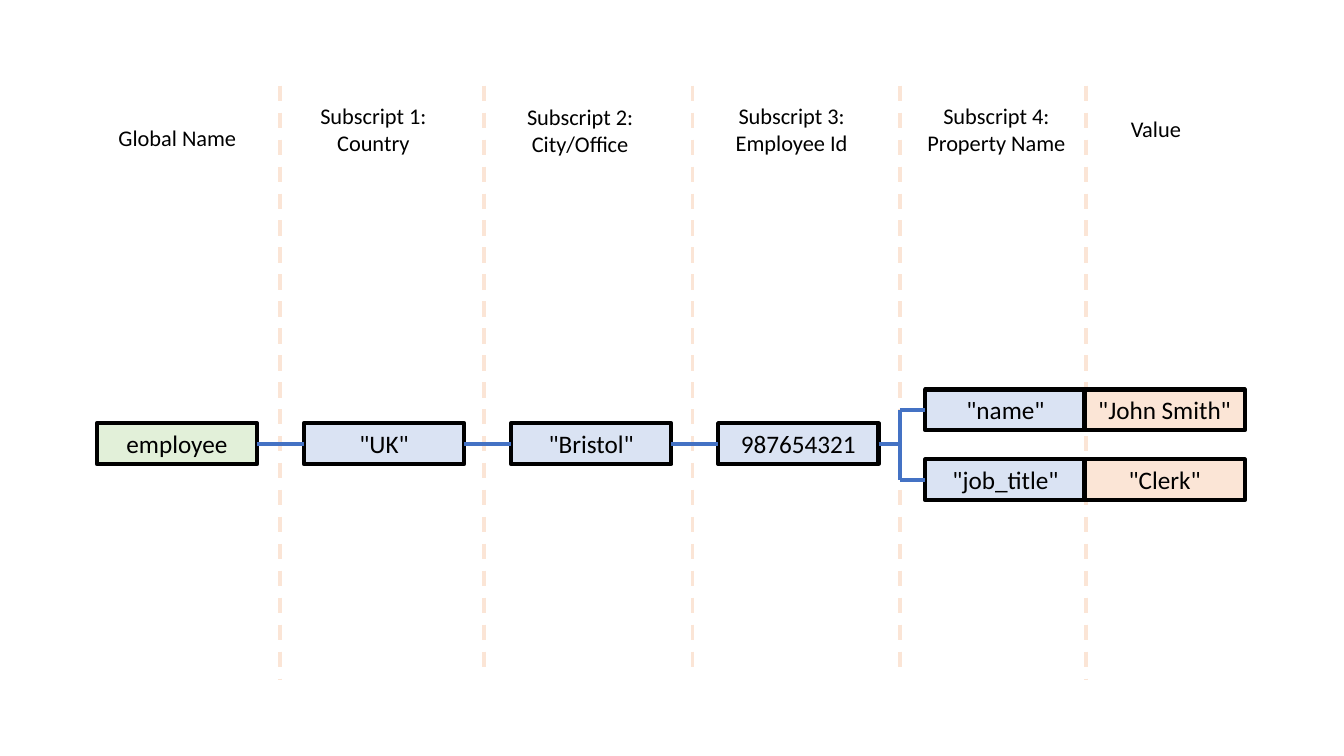
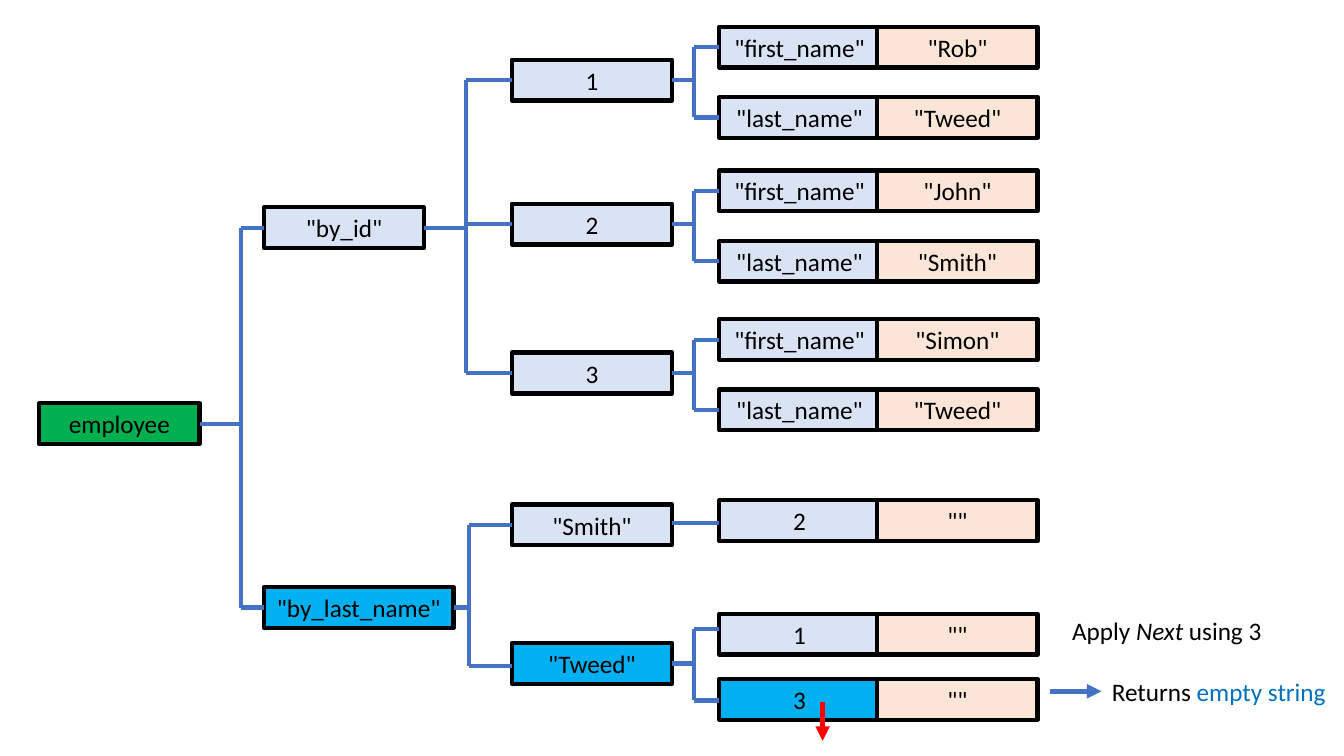
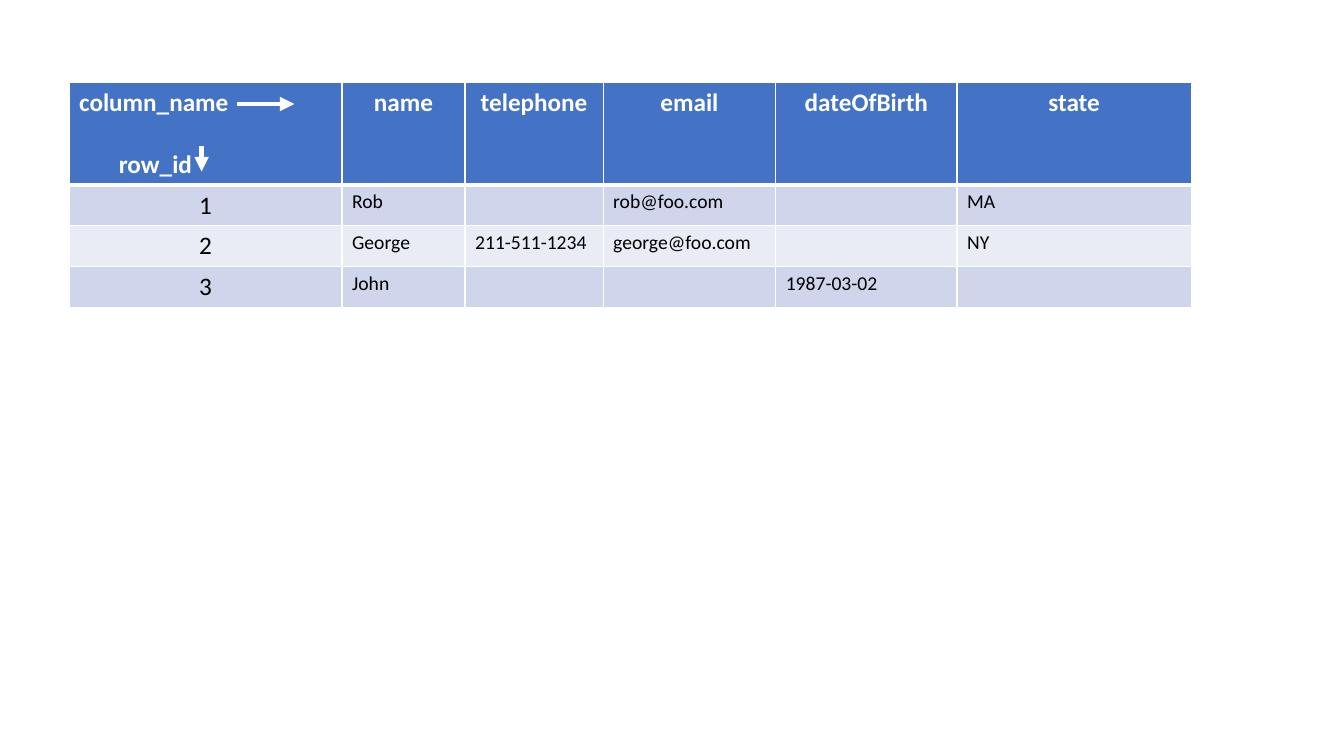
from dataclasses import dataclass

from lxml.etree import SubElement
from pptx import Presentation
from pptx.dml.color import RGBColor as Rgb
from pptx.enum.dml import MSO_LINE as Dash
from pptx.enum.shapes import MSO_CONNECTOR as Conn, MSO_SHAPE as Shape
from pptx.enum.text import MSO_ANCHOR as Anchor, PP_ALIGN as Align
from pptx.oxml import parse_xml
from pptx.oxml.ns import nsdecls, qn
from pptx.util import Cm, Pt


@dataclass(frozen=True)
class Theme:
    font: str = "Calibri"
    body: int = 18
    label: int = 16
    small: int = 14
    ink: str = "000000"
    white: str = "FFFFFF"
    blue: str = "4472C4"
    key: str = "DAE3F3"
    value: str = "FBE5D6"
    root: str = "E2F0D9"
    green: str = "00B050"
    cyan: str = "00B0F0"
    red: str = "FF0000"
    accent: str = "0070C0"
    bands: tuple = ("E9EBF5", "CFD5EA")
    stroke: float = 3
    arrow: float = 3.5
    dash: float = 2.75
    gap: int = 22


T = Theme()
WIDE, HIGH = 4.04, 1.03  # box size in cm
INDENT = Cm(1)


def put(page, x, mid, lines, fill=None, wide=WIDE, size=T.body):
    """Centre text on the height mid, in an outlined box if fill is given."""
    high = HIGH * len(lines)
    area = Cm(x), Cm(mid - high / 2), Cm(wide), Cm(high)
    if fill:
        item = page.shapes.add_shape(Shape.RECTANGLE, *area)
        item.shadow.inherit = False
        item.fill.solid()
        item.fill.fore_color.rgb = Rgb.from_string(fill)
        item.line.color.rgb = Rgb.from_string(T.ink)
        item.line.width = Pt(T.stroke)
    else:
        item = page.shapes.add_textbox(*area)
    frame = item.text_frame
    frame.word_wrap = False
    frame.vertical_anchor = Anchor.MIDDLE
    frame.text = "\n".join(lines)
    for para in frame.paragraphs:
        para.alignment = Align.CENTER
        para.font.name = T.font
        para.font.size = Pt(size)
        para.font.color.rgb = Rgb.from_string(T.ink)


def draw(page, x1, y1, x2, y2, color=T.blue, width=T.stroke, dash=False, head=False):
    """Draw a straight line, dashed or with an arrowhead at its end."""
    item = page.shapes.add_connector(Conn.STRAIGHT, Cm(x1), Cm(y1), Cm(x2), Cm(y2))
    item.line.color.rgb = Rgb.from_string(color)
    item.line.width = Pt(width)
    if dash:
        item.line.dash_style = Dash.DASH
    props = item._element.spPr
    if head:
        SubElement(props.find(qn("a:ln")), qn("a:tailEnd"), type="triangle")
    SubElement(props, qn("a:effectLst"))


deck = Presentation()
deck.slide_width, deck.slide_height = Cm(33.87), Cm(19.05)
path, tree, grid = [deck.slides.add_slide(deck.slide_layouts[6]) for _ in range(3)]

# Path: column guides and headings
for x, end in (7.06, 17.12), (12.19, 16.87), (17.45, 16.87), (22.68, 16.87), (27.36, 17.12):
    draw(path, x, 2.16, x, end, T.value, T.dash, dash=True)

heads = [
    (4.47, 3.47, ["Global Name"]),
    (9.41, 3.25, ["Subscript 1:", "Country"]),
    (14.62, 3.27, ["Subscript 2:", "City/Office"]),
    (19.95, 3.25, ["Subscript 3:", "Employee Id"]),
    (25.11, 3.25, ["Subscript 4:", "Property Name"]),
    (29.13, 3.25, ["Value"]),
]
for mid, y, lines in heads:
    put(path, mid - WIDE / 2, y, lines, size=T.label)

# Path: boxes on an even pitch
LEFT, PITCH, ROW = 2.44, 5.22, 11.18
cols = [LEFT + PITCH * i for i in range(5)]
for i, text in enumerate(["employee", '"UK"', '"Bristol"', "987654321"]):
    put(path, cols[i], ROW, [text], T.key if i else T.root)
pairs = [(path, cols[4], 27.33, 10.33, '"name"', '"John Smith"', T.key),
         (path, cols[4], 27.33, 12.09, '"job_title"', '"Clerk"', T.key)]

# Tree: inner boxes
BRANCH, NODE, LEAF, CELL = 6.65, 12.9, 18.13, 22.11
LONG = 4.78
nodes = [
    (0.99, 10.68, "employee", T.green, WIDE),
    (BRANCH, 5.74, '"by_id"', T.key, WIDE),
    (BRANCH, 15.31, '"by_last_name"', T.cyan, LONG),
    (NODE, 2.02, "1", T.key, WIDE),
    (NODE, 5.65, "2", T.key, WIDE),
    (NODE, 9.4, "3", T.key, WIDE),
    (NODE, 13.23, '"Smith"', T.key, WIDE),
    (NODE, 16.72, '"Tweed"', T.cyan, WIDE),
]
for x, y, text, fill, wide in nodes:
    put(tree, x, y, [text], fill, wide)

# Tree: leaves with their values
leaves = [
    (1.19, '"first_name"', '"Rob"', T.key),
    (2.96, '"last_name"', '"Tweed"', T.key),
    (4.81, '"first_name"', '"John"', T.key),
    (6.58, '"last_name"', '"Smith"', T.key),
    (8.56, '"first_name"', '"Simon"', T.key),
    (10.33, '"last_name"', '"Tweed"', T.key),
    (13.12, "2", '""', T.key),
    (15.98, "1", '""', T.key),
    (17.62, "3", '""', T.cyan),
]
pairs += [(tree, LEAF, CELL, *leaf) for leaf in leaves]
for page, x, next_x, y, key, value, fill in pairs:
    put(page, x, y, [key], fill)
    put(page, next_x, y, [value], T.value)

# Links: start, row, spine, end, rows of the children
forks = [(path, cols[i] + WIDE, ROW, 0, cols[i + 1], [ROW]) for i in range(3)]
forks += [
    (path, cols[3] + WIDE, ROW, 22.68, cols[4], [10.33, 12.09]),
    (tree, 0.99 + WIDE, 10.68, 6.08, BRANCH, [5.74, 15.31]),
    (tree, BRANCH + WIDE, 5.74, 11.74, NODE, [2.02, 5.65, 9.4]),
    (tree, BRANCH + LONG, 15.31, 11.81, NODE, [13.23, 16.79]),
    (tree, NODE + WIDE, 13.17, 0, LEAF, [13.17]),
    (tree, NODE + WIDE, 2.02, 17.48, LEAF, [1.19, 2.96]),
    (tree, NODE + WIDE, 5.65, 17.48, LEAF, [4.81, 6.58]),
    (tree, NODE + WIDE, 9.4, 17.48, LEAF, [8.56, 10.33]),
    (tree, NODE + WIDE, 16.72, 17.48, LEAF, [15.85, 17.65]),
]
for page, start, y, spine, end, kids in forks:
    if len(kids) == 1:
        draw(page, start, y, end, y)
        continue
    draw(page, start, y, spine, y)
    draw(page, spine, kids[0], spine, kids[-1])
    for kid in kids:
        draw(page, spine, kid, end, kid)

# Tree: note beside the last leaves
note = tree.shapes.add_textbox(Cm(26.77), Cm(15.37), Cm(7), Cm(2.57)).text_frame
note.word_wrap = False
first, last = note.paragraphs[0], note.add_paragraph()
last.space_before = Pt(T.gap)
last._p.get_or_add_pPr().set("marL", str(INDENT))
for para in first, last:
    para.font.name = T.font
    para.font.size = Pt(T.body)
    para.font.color.rgb = Rgb.from_string(T.ink)
for para, text in (first, "Apply "), (first, "Next"), (first, " using 3"), (last, "Returns"), (last, " empty string"):
    para.add_run().text = text
first.runs[1].font.italic = True
last.runs[1].font.color.rgb = Rgb.from_string(T.accent)

# Grid: sparse table
rows = [
    ["column_name\nrow_id", "name", "telephone", "email", "dateOfBirth", "state"],
    ["1", "Rob", "", "rob@foo.com", "", "MA"],
    ["2", "George", "211-511-1234", "george@foo.com", "", "NY"],
    ["3", "John", "", "", "1987-03-02", ""],
]
widths = [6.88, 3.1, 3.48, 4.35, 4.57, 5.9]
highs = [2.54] + [HIGH] * 3
table = grid.shapes.add_table(len(rows), len(widths), Cm(1.74), Cm(2.08),
                              Cm(sum(widths)), Cm(sum(highs))).table
for col, wide in zip(table.columns, widths):
    col.width = Cm(wide)
for row, high in zip(table.rows, highs):
    row.height = Cm(high)

for r, row in enumerate(rows):
    for c, text in enumerate(row):
        cell = table.cell(r, c)
        cell.text = text
        cell.fill.solid()
        cell.fill.fore_color.rgb = Rgb.from_string(T.bands[r % 2] if r else T.blue)
        for i, side in enumerate("LRTB"):
            thick = (r, side) in ((0, "B"), (1, "T"))
            cell._tc.get_or_add_tcPr().insert(i, parse_xml(
                f'<a:ln{side} {nsdecls("a")} w="{Pt(3 if thick else 1)}"><a:solidFill>'
                f'<a:srgbClr val="{T.white}"/></a:solidFill></a:ln{side}>'))
        for para in cell.text_frame.paragraphs:
            para.alignment = Align.CENTER if (r == 0) != (c == 0) else Align.LEFT
            para.font.name = T.font
            para.font.size = Pt(T.small if r and c else T.body)
            para.font.bold = r == 0
            para.font.color.rgb = Rgb.from_string(T.ink if r else T.white)

below = table.cell(0, 0).text_frame.paragraphs[1]
below.space_before = Pt(T.gap)
below._p.get_or_add_pPr().set("marL", str(INDENT))

# Arrows
arrows = [
    (tree, 20.73, 17.68, 20.73, 18.67, T.red),
    (tree, 26.47, 17.42, 27.76, 17.42, T.blue),
    (grid, 5.97, 2.62, 7.42, 2.62, T.white),
    (grid, 5.08, 3.68, 5.08, 4.32, T.white),
]
for arrow in arrows:
    draw(*arrow, T.arrow, head=True)

deck.save("out.pptx")
